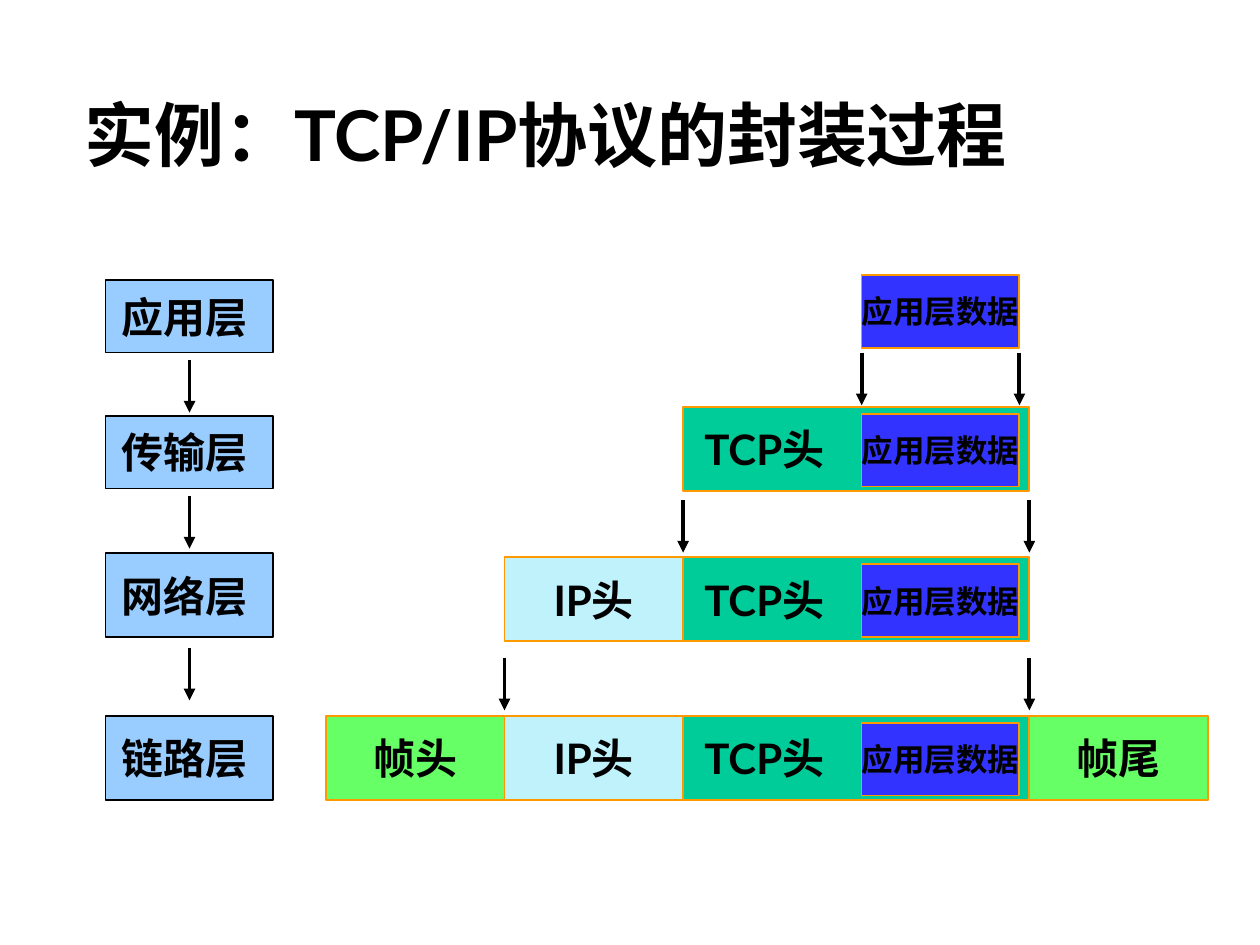
from lxml.etree import SubElement
from pptx import Presentation
from pptx.dml.color import RGBColor
from pptx.enum.shapes import MSO_CONNECTOR, MSO_SHAPE
from pptx.enum.text import MSO_ANCHOR, MSO_AUTO_SIZE, PP_ALIGN
from pptx.oxml.ns import qn
from pptx.util import Cm, Pt

FONT = "Lato"
COLORS = {
    "black": "000000",
    "border": "FF9900",
    "layer": "99CCFF",
    "data": "3333FF",
    "tcp": "00CC99",
    "ip": "C0F2FC",
    "frame": "66FF66",
}

TITLE = "实例：TCP/IP协议的封装过程"
LAYERS = [
    ("应用层 ", 5.64, 1.47),
    ("传输层 ", 8.38, 1.47),
    ("网络层 ", 11.15, 1.7),
    ("链路层 ", 14.43, 1.7),
]
LAYER_ARROW_TOPS = [7.26, 10.0, 13.06]
PACKETS = [
    (5.4, []),
    (8.2, ["tcp"]),
    (11.23, ["tcp", "ip"]),
    (14.43, ["tcp", "ip", "frame head", "frame tail"]),
]
PACKET_ARROW_TOPS = [7.11, 10.08, 13.26]

LAYER_LEFT, LAYER_WIDTH = 2.13, 3.38
HEADER_WIDTH, ROW_HEIGHT = 3.6, 1.7
DATA_LEFT, DATA_WIDTH, DATA_HEIGHT = 17.37, 3.18, 1.47
DATA_RIGHT = DATA_LEFT + DATA_WIDTH
DATA_INSET = 0.14
TCP_LEFT = DATA_LEFT - HEADER_WIDTH
IP_LEFT = TCP_LEFT - HEADER_WIDTH
FRAME_LEFT = IP_LEFT - HEADER_WIDTH
TCP_RIGHT = DATA_RIGHT + 0.2
ARROW_LENGTH = 1.06

PARTS = {
    "tcp": (" TCP头", TCP_LEFT, TCP_RIGHT - TCP_LEFT, "tcp", PP_ALIGN.LEFT),
    "ip": ("IP头", IP_LEFT, HEADER_WIDTH, "ip", PP_ALIGN.CENTER),
    "frame head": ("帧头", FRAME_LEFT, HEADER_WIDTH, "frame", PP_ALIGN.CENTER),
    "frame tail": ("帧尾", TCP_RIGHT, HEADER_WIDTH, "frame", PP_ALIGN.CENTER),
}
PACKET_EDGES = [(DATA_LEFT, DATA_RIGHT), (TCP_LEFT, TCP_RIGHT), (IP_LEFT, TCP_RIGHT)]


def color(name):
    return RGBColor.from_string(COLORS[name])


def write(shape, text, size, align):
    text_frame = shape.text_frame
    text_frame.text = text
    text_frame.word_wrap = False
    paragraph = text_frame.paragraphs[0]
    paragraph.alignment = align
    font = paragraph.runs[0].font
    font.name, font.size, font.bold = FONT, Pt(size), True
    font.color.rgb = color("black")


def add_box(slide, text, left, top, width, height, fill,
            line="border", size=24, align=PP_ALIGN.CENTER):
    shape = slide.shapes.add_shape(
        MSO_SHAPE.RECTANGLE, Cm(left), Cm(top), Cm(width), Cm(height))
    shape.shadow.inherit = False
    shape.fill.solid()
    shape.fill.fore_color.rgb = color(fill)
    shape.line.color.rgb = color(line)
    shape.line.width = Pt(1)
    shape.text_frame.vertical_anchor = MSO_ANCHOR.MIDDLE
    write(shape, text, size, align)


def add_arrow(slide, x, top):
    arrow = slide.shapes.add_connector(
        MSO_CONNECTOR.STRAIGHT, Cm(x), Cm(top), Cm(x), Cm(top + ARROW_LENGTH))
    arrow.line.color.rgb = color("black")
    arrow.line.width = Pt(2.25)
    SubElement(arrow.line._get_or_add_ln(), qn("a:tailEnd"), type="triangle")
    SubElement(arrow._element.spPr, qn("a:effectLst"))


def main():
    presentation = Presentation()
    presentation.slide_width, presentation.slide_height = Cm(25.4), Cm(19.05)
    slide = presentation.slides.add_slide(presentation.slide_layouts[6])

    title = slide.shapes.add_textbox(Cm(1.45), Cm(1.73), Cm(19.89), Cm(1.96))
    write(title, TITLE, 40, PP_ALIGN.LEFT)
    title.text_frame.auto_size = MSO_AUTO_SIZE.SHAPE_TO_FIT_TEXT

    for top, parts in PACKETS:
        for part in parts:
            text, left, width, fill, align = PARTS[part]
            add_box(slide, text, left, top, width, ROW_HEIGHT, fill, align=align)
        add_box(slide, "应用层数据", DATA_LEFT, top + DATA_INSET,
                DATA_WIDTH, DATA_HEIGHT, "data", size=18)

    for text, top, height in LAYERS:
        add_box(slide, text, LAYER_LEFT, top, LAYER_WIDTH, height, "layer", line="black")

    for edges, top in zip(PACKET_EDGES, PACKET_ARROW_TOPS):
        for x in edges:
            add_arrow(slide, x, top)
    for top in LAYER_ARROW_TOPS:
        add_arrow(slide, LAYER_LEFT + LAYER_WIDTH / 2, top)

    presentation.save("out.pptx")


if __name__ == "__main__":
    main()
